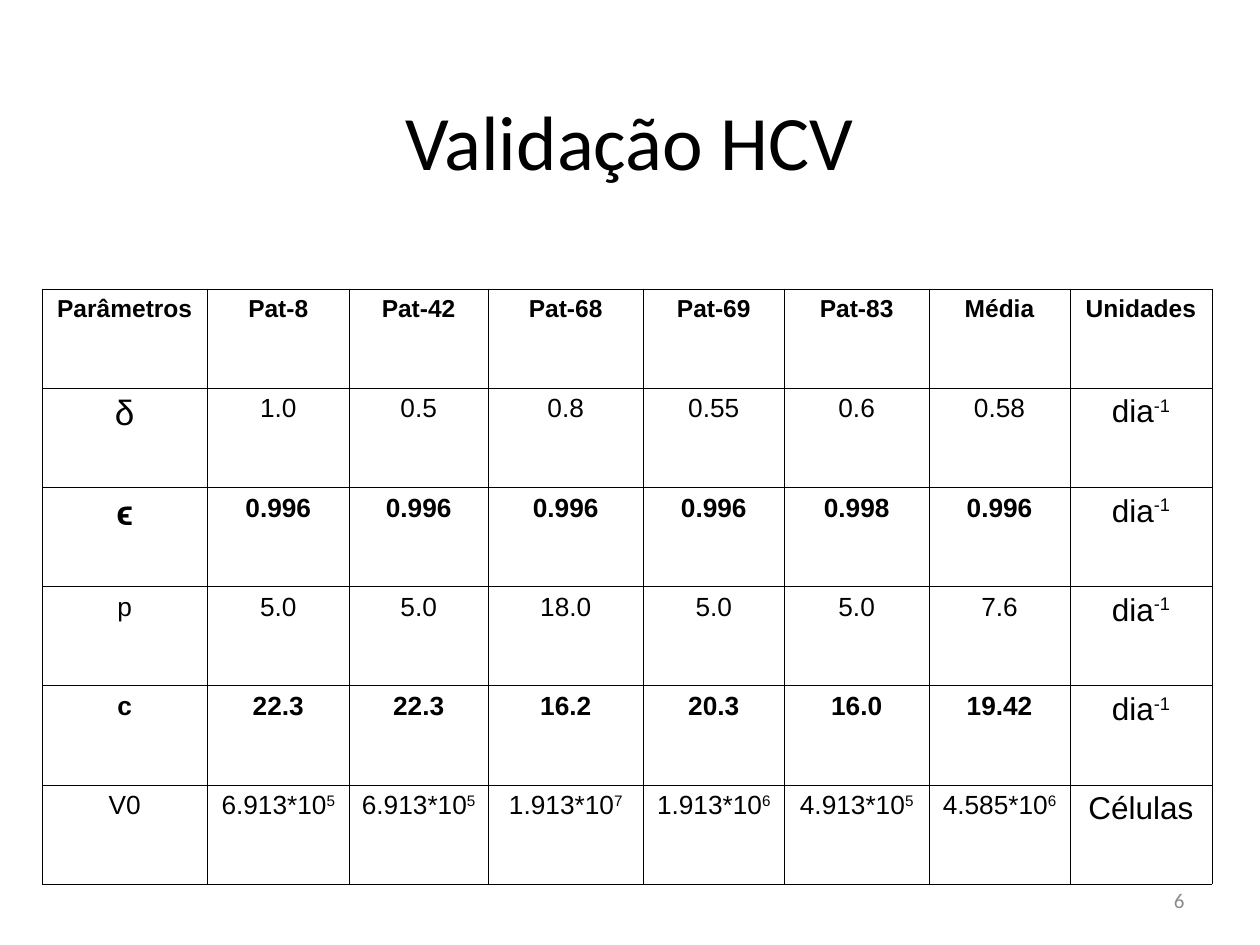
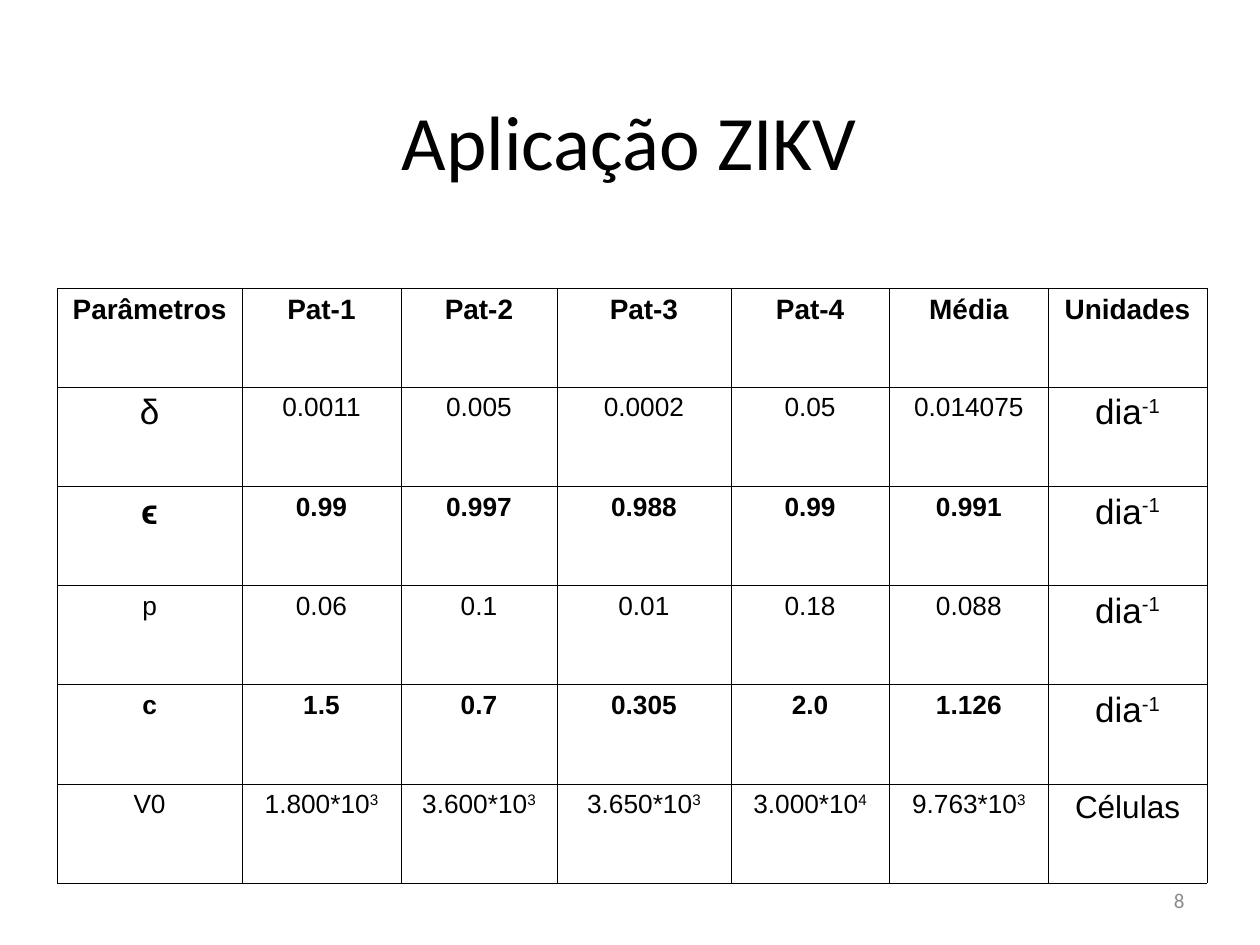
from lxml import etree
from pptx import Presentation
from pptx.dml.color import RGBColor
from pptx.enum.text import MSO_ANCHOR, MSO_AUTO_SIZE, PP_ALIGN
from pptx.oxml.ns import qn
from pptx.util import Cm, Pt

CENTER, RIGHT = PP_ALIGN.CENTER, PP_ALIGN.RIGHT
MIDDLE = MSO_ANCHOR.MIDDLE
NO_FIT = MSO_AUTO_SIZE.NONE
TITLE_ONLY = 5
COLORS = {"text": "000000", "line": "000000", "number": "8B8B8B", "back": "FFFFFF"}
HEAD_FONT, TABLE_FONT = "Calibri", "Arial"
UNIT = "dia^-1"

HCV = [
    ["Parâmetros", "Pat-8", "Pat-42", "Pat-68", "Pat-69", "Pat-83", "Média", "Unidades"],
    ["δ", "1.0", "0.5", "0.8", "0.55", "0.6", "0.58", UNIT],
    ["ϵ", "0.996", "0.996", "0.996", "0.996", "0.998", "0.996", UNIT],
    ["p", "5.0", "5.0", "18.0", "5.0", "5.0", "7.6", UNIT],
    ["c", "22.3", "22.3", "16.2", "20.3", "16.0", "19.42", UNIT],
    ["V0", "6.913*10^5", "6.913*10^5", "1.913*10^7", "1.913*10^6", "4.913*10^5",
     "4.585*10^6", "Células"],
]
ZIKV = [
    ["Parâmetros", "Pat-1", "Pat-2", "Pat-3", "Pat-4", "Média", "Unidades"],
    ["δ", "0.0011", "0.005", "0.0002", "0.05", "0.014075", UNIT],
    ["ϵ", "0.99", "0.997", "0.988", "0.99", "0.991", UNIT],
    ["p", "0.06", "0.1", "0.01", "0.18", "0.088", UNIT],
    ["c", "1.5", "0.7", "0.305", "2.0", "1.126", UNIT],
    ["V0", "1.800*10^3", "3.600*10^3", "3.650*10^3", "3.000*10^4", "9.763*10^3", "Células"],
]


def write(tf, text, size=15, font=TABLE_FONT, color="text", bold=False, align=CENTER):
    """Write one paragraph; what follows a caret is superscript."""
    p = tf.paragraphs[0]
    p.alignment = align
    for i, part in enumerate(text.split("^")):
        r = p.add_run()
        r.text = part
        r.font.size, r.font.name, r.font.bold = Pt(size), font, bold
        r.font.color.rgb = RGBColor.from_string(COLORS[color])
        if i:
            r.font._element.set("baseline", "33000")


class Deck:
    """Hold the shared style and the current slide."""

    def __init__(self):
        """Open an empty 4:3 presentation."""
        self.prs = Presentation()
        self.prs.slide_width, self.prs.slide_height = Cm(25.4), Cm(19.05)

    def slide(self, title, number):
        """Add a slide with its title and page number."""
        self.s = self.prs.slides.add_slide(self.prs.slide_layouts[TITLE_ONLY])
        fill = self.s.background.fill
        fill.solid()
        fill.fore_color.rgb = RGBColor.from_string(COLORS["back"])
        sp = self.s.shapes.title
        sp.left, sp.top, sp.width, sp.height = Cm(1.27), Cm(1.73), Cm(22.84), Cm(2.18)
        self.frame(sp, title, size=44, font=HEAD_FONT)
        sp = self.s.shapes.add_textbox(Cm(18.21), Cm(17.65), Cm(5.92), Cm(1))
        self.frame(sp, str(number), size=12, font=HEAD_FONT, color="number", align=RIGHT)

    def frame(self, sp, text, **style):
        """Fill a shape with wrapped, vertically centred text."""
        tf = sp.text_frame
        tf.word_wrap, tf.auto_size, tf.vertical_anchor = True, NO_FIT, MIDDLE
        write(tf, text, **style)

    def borders(self, cell):
        """Draw a hairline on the four sides of a cell."""
        tc_pr = cell._tc.get_or_add_tcPr()
        for side in ("a:lnL", "a:lnR", "a:lnT", "a:lnB"):
            ln = etree.SubElement(tc_pr, qn(side), w=str(Pt(0.06)))
            fill = etree.SubElement(ln, qn("a:solidFill"))
            etree.SubElement(fill, qn("a:srgbClr"), val=COLORS["line"])

    def table(self, rows, left, top, widths, head_size, unit_size, row_height=2):
        """Add a parameter table whose even rows are bold."""
        height = Cm(row_height * len(rows))
        tbl = self.s.shapes.add_table(len(rows), len(widths), Cm(left), Cm(top),
                                      Cm(sum(widths)), height).table
        tbl.first_row = tbl.horz_banding = False
        for column, width in zip(tbl.columns, widths):
            column.width = Cm(width)
        sizes = {"δ": 20, "ϵ": 20, UNIT: unit_size, "Células": 18}
        for i, row in enumerate(rows):
            for j, text in enumerate(row):
                cell = tbl.cell(i, j)
                self.borders(cell)
                cell.fill.background()
                size = sizes.get(text, 15) if i else head_size
                bold = i == 0 or (i % 2 == 0 and j < len(row) - 1)
                write(cell.text_frame, text, size=size, bold=bold)


deck = Deck()
deck.slide("Validação HCV", 6)
deck.table(HCV, 0.85, 5.82, [3.33, 2.86, 2.8, 3.13, 2.84, 2.92, 2.84, 2.86],
           head_size=14, unit_size=18)
deck.slide("Aplicação ZIKV", 8)
deck.table(ZIKV, 1.15, 5.8, [3.73, 3.2, 3.15, 3.5, 3.2, 3.2, 3.2],
           head_size=16, unit_size=20)
deck.prs.save("out.pptx")
